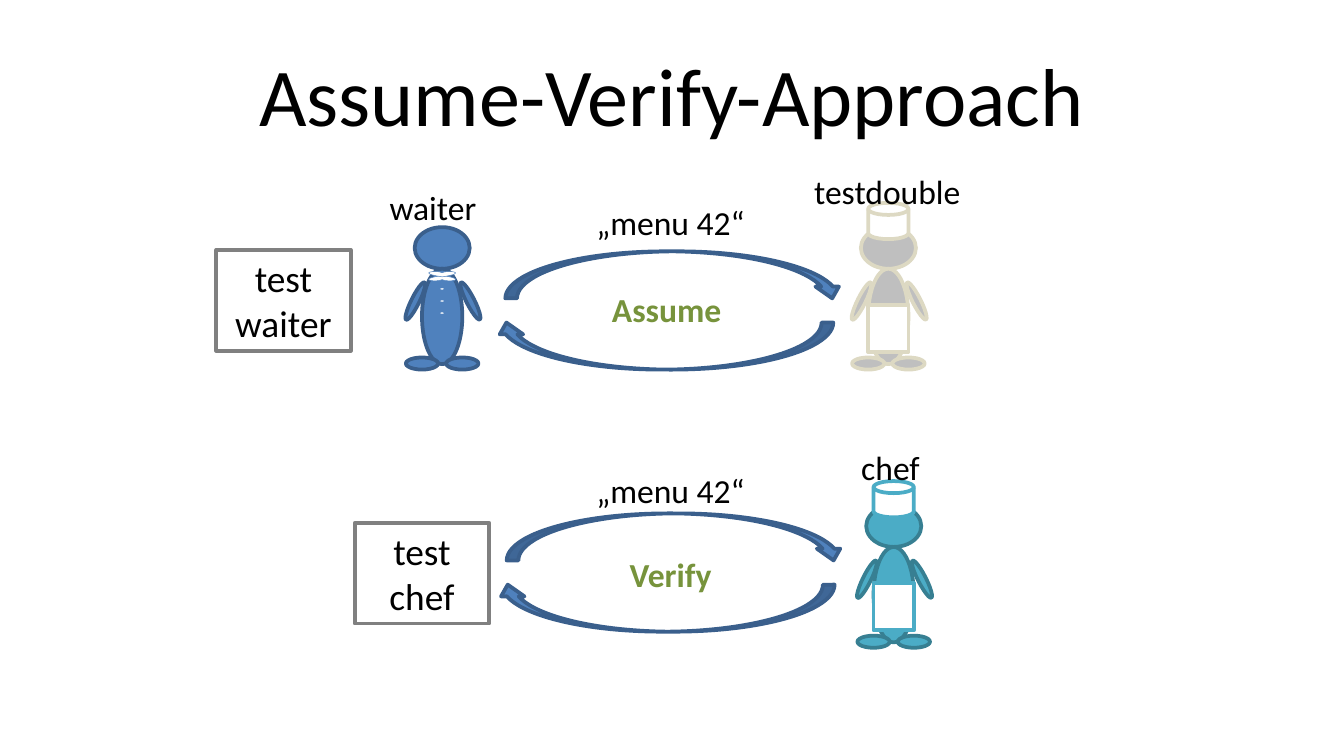
from pptx import Presentation
from pptx.dml.color import RGBColor
from pptx.enum.shapes import MSO_SHAPE
from pptx.enum.text import MSO_ANCHOR, MSO_AUTO_SIZE, PP_ALIGN
from pptx.util import Inches, Pt

OVAL, RECTANGLE, HEART = MSO_SHAPE.OVAL, MSO_SHAPE.RECTANGLE, MSO_SHAPE.HEART
HAT, ARROW = MSO_SHAPE.FLOWCHART_MAGNETIC_DISK, MSO_SHAPE.CURVED_DOWN_ARROW
MIDDLE, CENTER, LEFT = MSO_ANCHOR.MIDDLE, PP_ALIGN.CENTER, PP_ALIGN.LEFT
FIT_SHAPE, FIXED = MSO_AUTO_SIZE.SHAPE_TO_FIT_TEXT, MSO_AUTO_SIZE.NONE

THEME = {
    "font": "Calibri", "title": 44, "box": 20, "label": 18,
    "text": "000000", "accent": "77933C", "white": "FFFFFF",
    "frame": "808080", "blue": "4F81BD", "blue_line": "3A5F8C",
    "teal": "4BACC6", "teal_line": "377F92",
    "gray": "BFBFBF", "beige": "DDD9C3",
}

# Content
TITLE = "Assume-Verify-Approach"
# Figures: centre x, head top, fill, outline, outfit, outfit outline
FIGURES = [
    (3.29, 1.69, "blue", "blue_line", "waiter", "blue"),
    (6.65, 3.76, "teal", "teal_line", "chef", "teal"),
    (6.61, 1.69, "gray", "beige", "chef", "beige"),
]
# Test boxes: lines, left, top
TEST_BOXES = [(("test", "waiter"), 1.61, 1.86), (("test", "chef"), 2.64, 3.89)]
# Arrow loops: left and top of the upper arrow
LOOPS = [(3.76, 1.87), (3.77, 3.82)]
# Labels: text, left, top, width, alignment, colour, bold
LABELS = [
    ("„menu 42“", 4.33, 1.45, 1.32, CENTER, "text", False),
    ("„menu 42“", 4.33, 3.45, 1.32, CENTER, "text", False),
    ("testdouble", 5.96, 1.22, 1.3, LEFT, "text", False),
    ("waiter", 2.8, 1.34, 0.85, LEFT, "text", False),
    ("chef", 6.31, 3.28, 0.64, LEFT, "text", False),
    ("Assume", 4.42, 2.1, 1.08, CENTER, "accent", True),
    ("Verify", 4.58, 4.07, 0.82, CENTER, "accent", True),
]

# Figure parts: preset, centre x offset, top offset, width, height, rotation
BODY = [
    (OVAL, 0, 0, 0.41, 0.31, 0),
    (OVAL, 0, 0.31, 0.3, 0.71, 0),
    (OVAL, 0.15, 0.97, 0.24, 0.09, 0),
    (OVAL, -0.15, 0.97, 0.24, 0.09, 0),
    (OVAL, 0.21, 0.52, 0.31, 0.06, 63.1),
    (OVAL, -0.2, 0.52, 0.31, 0.06, 116.2),
]
BOW_TIE = [(HEART, 0, 0.36, 0.2, 0.04, 180), (HEART, 0, 0.33, 0.2, 0.04, 0)]
BUTTONS = [(OVAL, 0, 0.44 + 0.09 * row, 0.06, 0.04, 0) for row in range(3)]
# Outfits: lists of parts with their line width
OUTFITS = {
    "waiter": [(BOW_TIE, 0.25), (BUTTONS, 2)],
    "chef": [([(HAT, 0, -0.18, 0.3, 0.27, 0),
               (RECTANGLE, 0, 0.58, 0.3, 0.35, 0)], 2)],
}
ARROW_SIZE = (2.52, 0.35)
RETURN_SHIFT = (-0.08, 0.53)


def color(name):
    return RGBColor.from_string(THEME[name])


def add_shape(shapes, preset, left, top, width, height, fill, line,
              line_width=2, rotation=0):
    shape = shapes.add_shape(preset, Inches(left), Inches(top),
                             Inches(width), Inches(height))
    shape.shadow.inherit = False
    shape.rotation = rotation
    if fill:
        shape.fill.solid()
        shape.fill.fore_color.rgb = color(fill)
    else:
        shape.fill.background()
    shape.line.color.rgb = color(line)
    shape.line.width = Pt(line_width)
    return shape


def write(frame, lines, size, alignment=CENTER, text_color="text", bold=False):
    for index, line in enumerate(lines):
        paragraph = frame.add_paragraph() if index else frame.paragraphs[0]
        paragraph.text = line
        paragraph.alignment = alignment
        paragraph.font.name = THEME["font"]
        paragraph.font.size = Pt(THEME[size])
        paragraph.font.bold = bold
        paragraph.font.color.rgb = color(text_color)


def add_parts(shapes, parts, center, head_top, fill, line, line_width=2):
    for preset, offset, drop, width, height, rotation in parts:
        add_shape(shapes, preset, center + offset - width / 2, head_top + drop,
                  width, height, fill, line, line_width, rotation)


# Widescreen 16:9 slide
presentation = Presentation()
presentation.slide_width = Inches(10)
presentation.slide_height = Inches(10 * 9 / 16)
slide = presentation.slides.add_slide(presentation.slide_layouts[5])

# Title
title = slide.shapes.title
title.left, title.top = Inches(0.5), Inches(0.23)
title.width, title.height = Inches(9), Inches(0.94)
title.text_frame.vertical_anchor = MIDDLE
title.text_frame.auto_size = FIXED
write(title.text_frame, [TITLE], "title")

# Figures, each one a group
for center, head_top, fill, line, outfit, outfit_line in FIGURES:
    group = slide.shapes.add_group_shape()
    add_parts(group.shapes, BODY, center, head_top, fill, line)
    for parts, line_width in OUTFITS[outfit]:
        add_parts(group.shapes, parts, center, head_top, "white",
                  outfit_line, line_width)

# Test boxes
for lines, left, top in TEST_BOXES:
    box = add_shape(slide.shapes, RECTANGLE, left, top, 1, 0.75, None, "frame")
    box.text_frame.vertical_anchor = MIDDLE
    write(box.text_frame, lines, "box")

# Request and return arrows
for left, top in LOOPS:
    for shift_x, shift_y, rotation in [(0, 0, 0), (*RETURN_SHIFT, 180)]:
        add_shape(slide.shapes, ARROW, left + shift_x, top + shift_y,
                  *ARROW_SIZE, "blue", "blue_line", rotation=rotation)

# Labels
for text, left, top, width, alignment, text_color, bold in LABELS:
    label = slide.shapes.add_textbox(Inches(left), Inches(top),
                                     Inches(width), Inches(0.4))
    label.text_frame.word_wrap = False
    label.text_frame.auto_size = FIT_SHAPE
    write(label.text_frame, [text], "label", alignment, text_color, bold)

presentation.save("out.pptx")
